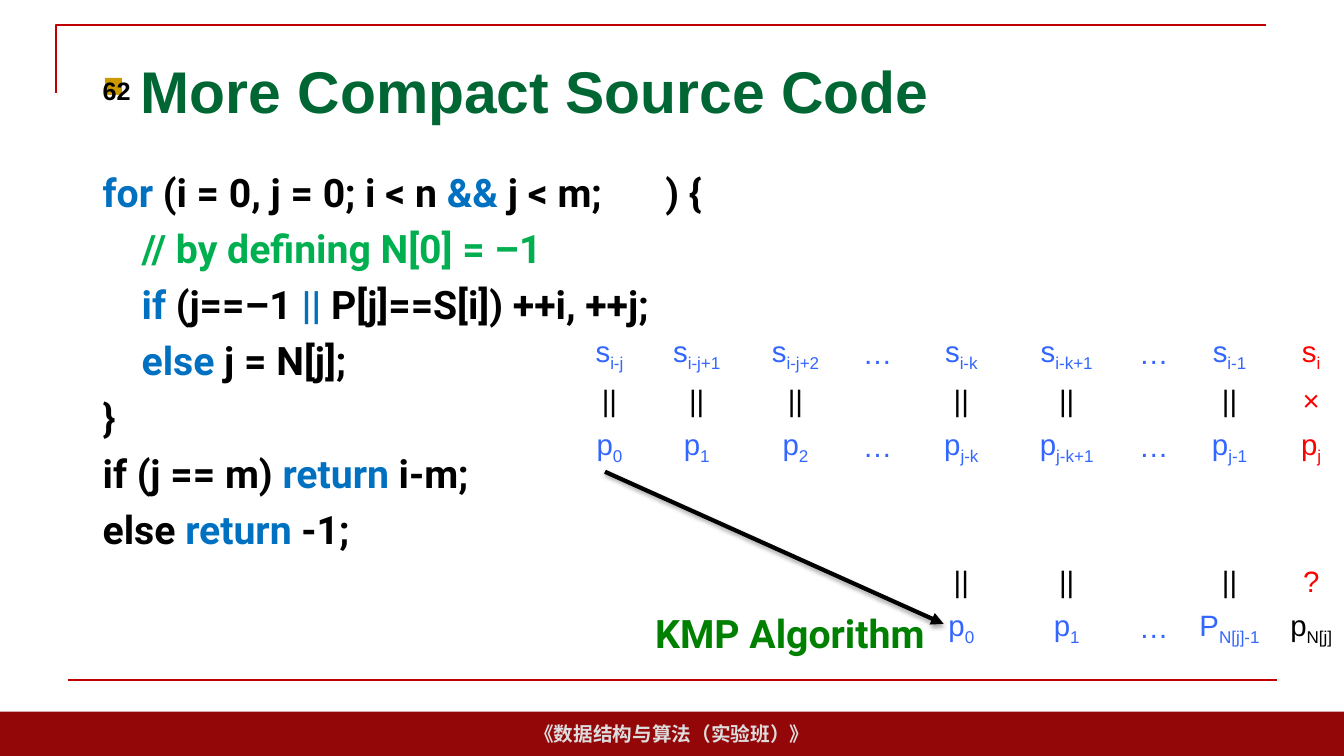
from dataclasses import dataclass

from lxml.etree import SubElement
from pptx import Presentation
from pptx.dml.color import RGBColor
from pptx.enum.shapes import MSO_CONNECTOR as Connector, MSO_SHAPE as Preset
from pptx.enum.text import MSO_ANCHOR as Anchor, PP_ALIGN as Align
from pptx.oxml.ns import qn
from pptx.util import Inches, Pt


@dataclass(frozen=True)
class Theme:
    heading: str = "006633"
    bullet: str = "CC9900"
    frame: str = "C00000"
    band: str = "940709"
    band_text: str = "DDDDDD"
    plain: str = "000000"
    keyword: str = "0070C0"
    comment: str = "00B050"
    label: str = "008000"
    match: str = "3366FF"
    mismatch: str = "FF0000"
    sans: str = "Arial"
    code: str = "Roboto"
    title_size: int = 42
    code_size: int = 28
    cell_size: int = 21
    number_size: int = 18
    footer_size: int = 14


THEME = Theme()
WIDTH, HEIGHT = 13.33, 7.5
LEFT, CONTENT_WIDTH = 0.92, 11.5

# Each code line is a list of (text, colour) spans
K, B = THEME.keyword, THEME.plain
CODE = [
    [("for", K), (" (i = 0, j = 0; i < n ", B), ("&&", K), (" j < m;\t) {", B)],
    [("    // by defining N[0] = –1", THEME.comment)],
    [("    if", K), (" (j==–1 ", B), ("||", K), (" P[j]==S[i]) ++i, ++j;", B)],
    [("    else", K), (" j = N[j];", B)],
    [("}", B)],
    [("if (j == m) ", B), ("return ", K), ("i-m;", B)],
    [("else ", B), ("return", K), (" -1;", B)],
]

# An underscore starts a subscript
COLUMNS = [0.75, 0.98, 0.98, 0.65, 1.01, 1.08, 0.65, 0.85, 0.77]
ROW_HEIGHT = 0.44
MATCHES = [
    ["s_i-j", "s_i-j+1", "s_i-j+2", "…", "s_i-k", "s_i-k+1", "…", "s_i-1", "s_i"],
    ["||", "||", "||", "", "||", "||", "", "||", "×"],
    ["p_0", "p_1", "p_2", "…", "p_j-k", "p_j-k+1", "…", "p_j-1", "p_j"],
    [""] * 9,
    [""] * 9,
    ["", "", "", "", "||", "||", "", "||", "?"],
    ["", "", "", "", "p_0", "p_1", "…", "P_N[j]-1", "p_N[j]"],
]


def rgb(value):
    return RGBColor.from_string(value)


def add_span(para, text, *, size, color, font=THEME.sans, bold=False, base=0):
    span = para.add_run()
    span.text = text
    span.font.name, span.font.size, span.font.bold = font, Pt(size), bold
    span.font.color.rgb = rgb(color)
    if base:
        span.font._element.set("baseline", str(base * 1000))


def add_box(page, box, anchor=Anchor.TOP):
    frame = page.shapes.add_textbox(*map(Inches, box)).text_frame
    frame.word_wrap = True
    frame.vertical_anchor = anchor
    return frame


def set_line(shape, color, width):
    shape.line.color.rgb = rgb(color)
    shape.line.width = Pt(width)


def add_line(page, start, end, color, width):
    line = page.shapes.add_connector(Connector.STRAIGHT, *map(Inches, start + end))
    set_line(line, color, width)
    effects = SubElement(line._element.spPr, qn("a:effectLst"))
    return line, effects


def draw_frame(page, box):
    left, top, width, height = box
    # Footer band
    band_height = 0.44
    band = page.shapes.add_shape(Preset.RECTANGLE, *map(
        Inches, (left, top + height - band_height, width, band_height)))
    band.shadow.inherit = False
    band.fill.solid()
    band.fill.fore_color.rgb = rgb(THEME.band)
    band.line.fill.background()
    band.text_frame.word_wrap = False
    band.text_frame.vertical_anchor = Anchor.MIDDLE
    para = band.text_frame.paragraphs[0]
    para.alignment = Align.CENTER
    add_span(para, "《数据结构与算法（实验班）》", size=THEME.footer_size,
             color=THEME.band_text, bold=True)
    # Corner rule and bottom rule
    x, y, length = left + 0.56, top + 0.25, 12
    builder = page.shapes.build_freeform(Inches(x), Inches(y + 0.67))
    builder.add_line_segments(
        [(Inches(x), Inches(y)), (Inches(x + length), Inches(y))], close=False)
    corner = builder.convert_to_shape()
    corner.shadow.inherit = False
    corner.fill.background()
    set_line(corner, THEME.frame, 1.5)
    rule_y = top + height * 0.9
    add_line(page, (left + 0.67, rule_y), (left + 0.67 + length, rule_y),
             THEME.frame, 1.5)


def draw_title(page, box):
    para = add_box(page, box, Anchor.MIDDLE).paragraphs[0]
    indent = Inches(0.38)
    props = para._p.get_or_add_pPr()
    props.set("marL", str(indent))
    props.set("indent", str(-indent))
    color = SubElement(props, qn("a:buClr"))
    SubElement(color, qn("a:srgbClr"), val=THEME.bullet)
    SubElement(props, qn("a:buSzPct"), val="50000")
    SubElement(props, qn("a:buFont"), typeface="Wingdings")
    SubElement(props, qn("a:buChar"), char="n")
    add_span(para, "More Compact Source Code", size=THEME.title_size,
             color=THEME.heading, bold=True)
    # Slide number
    number = add_box(page, box, Anchor.MIDDLE).paragraphs[0]
    add_span(number, "62", size=THEME.number_size, color=THEME.plain, bold=True)


def draw_code(page, box):
    frame = add_box(page, box)
    for index, line in enumerate(CODE):
        para = frame.add_paragraph() if index else frame.paragraphs[0]
        if index:
            para.space_before = Pt(6.5)
        else:
            tabs = SubElement(para._p.get_or_add_pPr(), qn("a:tabLst"))
            SubElement(tabs, qn("a:tab"), pos=str(Inches(5.58)), algn="l")
        for text, color in line:
            add_span(para, text, size=THEME.code_size, color=color,
                     font=THEME.code, bold=True)


def cell_color(text, row, column):
    if text == "||" or text == "p_N[j]":
        return THEME.plain
    return THEME.mismatch if column == len(COLUMNS) - 1 else THEME.match


def draw_matches(page, left, top):
    table = page.shapes.add_table(
        len(MATCHES), len(COLUMNS), Inches(left), Inches(top),
        Inches(sum(COLUMNS)), Inches(ROW_HEIGHT * len(MATCHES))).table
    table.first_row = table.horz_banding = False
    for column, width in zip(table.columns, COLUMNS):
        column.width = Inches(width)
    for row, texts in enumerate(MATCHES):
        table.rows[row].height = Inches(ROW_HEIGHT)
        for column, text in enumerate(texts):
            cell = table.cell(row, column)
            cell.fill.background()
            cell.vertical_anchor = Anchor.MIDDLE
            cell.margin_top = cell.margin_bottom = Inches(0.04)
            cell.margin_left = cell.margin_right = Inches(0.09)
            para = cell.text_frame.paragraphs[0]
            para.alignment = Align.CENTER
            para.font.size = Pt(THEME.cell_size)
            for part, base in zip(text.split("_"), (0, -25)):
                if part:
                    add_span(para, part, size=THEME.cell_size, base=base,
                             color=cell_color(text, row, column))


def draw_shift(page, label_box, start, end):
    para = add_box(page, label_box).paragraphs[0]
    add_span(para, "KMP Algorithm", size=THEME.code_size, color=THEME.label,
             font=THEME.code, bold=True)
    # Arrow with a soft shadow
    arrow, effects = add_line(page, start, end, THEME.plain, 3)
    SubElement(arrow.line._get_or_add_ln(), qn("a:tailEnd"), type="triangle")
    shadow = SubElement(effects, qn("a:outerShdw"), blurRad=str(Pt(3.1)),
                        dist=str(Pt(1.8)), dir="5400000", rotWithShape="0")
    color = SubElement(shadow, qn("a:srgbClr"), val=THEME.plain)
    SubElement(color, qn("a:alpha"), val="35000")


def main():
    deck = Presentation()
    deck.slide_width, deck.slide_height = Inches(WIDTH), Inches(HEIGHT)
    page = deck.slides.add_slide(deck.slide_layouts[6])
    draw_frame(page, (0, 0, WIDTH, HEIGHT))
    draw_title(page, (LEFT, 0.4, CONTENT_WIDTH, 0.99))
    draw_code(page, (LEFT, 1.62, CONTENT_WIDTH, 5.15))
    draw_matches(page, 5.67, 3.28)
    draw_shift(page, (6.4, 6, 3.25, 0.57), (6, 4.68), (9.36, 6.19))
    deck.save("out.pptx")


if __name__ == "__main__":
    main()
